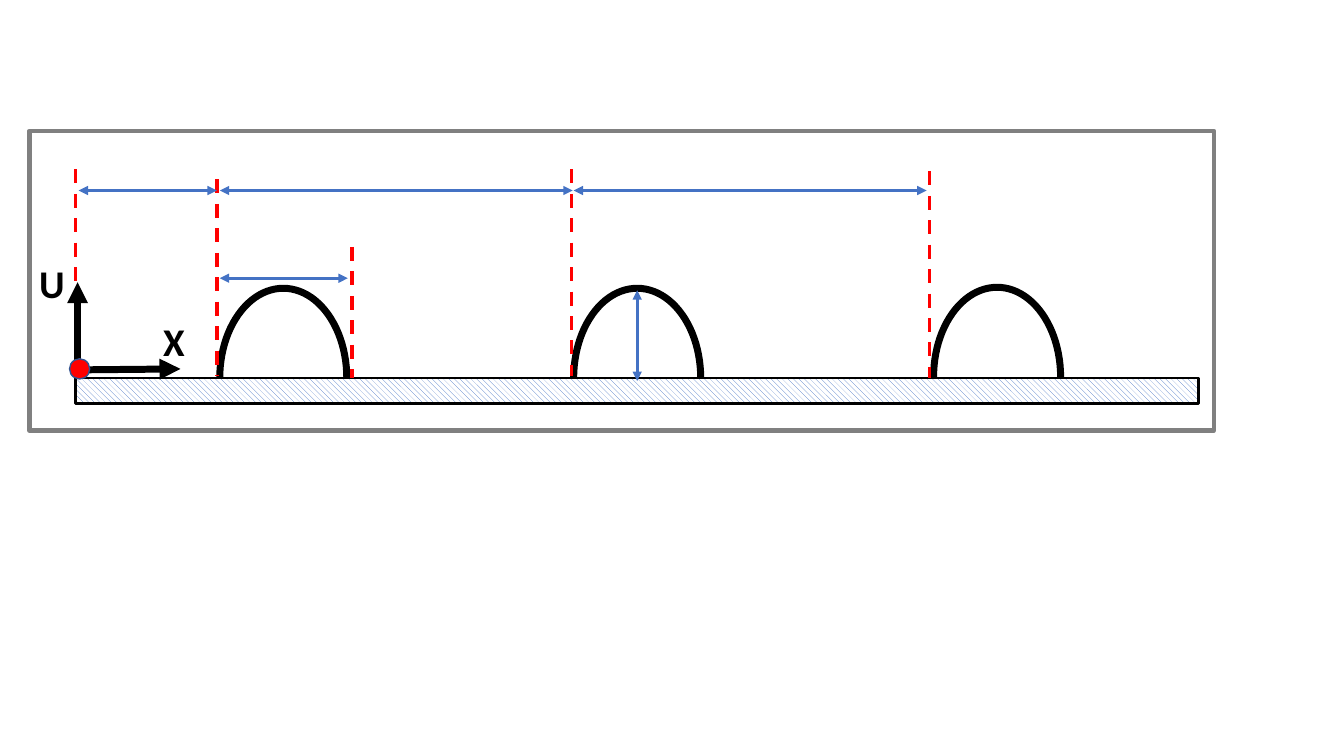
from lxml import etree
from pptx import Presentation
from pptx.dml.color import RGBColor
from pptx.enum.dml import MSO_LINE, MSO_PATTERN
from pptx.enum.shapes import MSO_CONNECTOR, MSO_SHAPE
from pptx.oxml.ns import qn
from pptx.util import Inches, Pt

RECT, OVAL = MSO_SHAPE.RECTANGLE, MSO_SHAPE.OVAL
STRAIGHT = MSO_CONNECTOR.STRAIGHT
DASH, HATCH = MSO_LINE.DASH, MSO_PATTERN.WIDE_DOWNWARD_DIAGONAL
BLACK, WHITE, RED, BLUE = "000000", "FFFFFF", "FF0000", "4472C4"
GREY, NAVY = "808080", "325491"

# Content: lengths in inches
BUMP_W, BUMP_H = 1.26, 1.78
BUMPS = [(9.26, 2.85), (5.69, 2.86), (2.18, 2.86)]  # left, top
PLATE = (0.75, 3.75, 11.14, 0.25)
BUMP_COVER = (1.97, 4.02, 8.79, 0.74)
ORIGIN = (0.69, 3.56, 0.2, 0.2)
FRAME = (0.29, 1.3, 11.75, 2.97)
GUIDES = [  # x, top, bottom
    (0.75, 1.68, 3.65), (3.49, 2.45, 3.75), (2.15, 1.78, 3.73),
    (5.67, 1.68, 3.73), (9.22, 1.7, 3.75),
]
DIMENSIONS = [  # x1, y1, x2, y2
    (0.78, 1.89, 2.15, 1.89),  # offset of the first bump
    (2.18, 1.89, 5.68, 1.89),  # first pitch
    (5.69, 1.89, 9.19, 1.89),  # second pitch
    (2.18, 2.76, 3.45, 2.76),  # bump width
    (6.32, 2.88, 6.32, 3.78),  # bump height
]
AXES = [(0.75, 3.67, 1.79, 3.66), (0.77, 3.69, 0.77, 2.8)]
AXIS_LABELS = [("X", (1.52, 3.1, 0.42, 0.57)), ("U", (0.29, 2.52, 0.46, 0.57))]

prs = Presentation()
prs.slide_width, prs.slide_height = Inches(13.33), Inches(7.5)
s = prs.slides.add_slide(prs.slide_layouts[6])


def rgb(color):
    return RGBColor.from_string(color)


def inches(values):
    return [Inches(v) for v in values]


def add_shape(kind, box, fill=None, line=None, width=1):
    sp = s.shapes.add_shape(kind, *inches(box))
    sp.shadow.inherit = False
    if fill:
        sp.fill.solid()
        sp.fill.fore_color.rgb = rgb(fill)
    else:
        sp.fill.background()
    if line:
        sp.line.color.rgb = rgb(line)
        sp.line.width = Pt(width)
    else:
        sp.line.fill.background()
    return sp


def add_line(ends, color, width, dash=None, arrows=()):
    c = s.shapes.add_connector(STRAIGHT, *inches(ends))
    c.line.color.rgb = rgb(color)
    c.line.width = Pt(width)
    if dash:
        c.line.dash_style = dash
    for end in arrows:
        etree.SubElement(c.line._get_or_add_ln(), qn(f"a:{end}"), type="triangle")
    etree.SubElement(c._element.spPr, qn("a:effectLst"))


def add_text(text, box, size=28, color=BLACK, font="Calibri", bold=True):
    tf = s.shapes.add_textbox(*inches(box)).text_frame
    tf.word_wrap = False
    r = tf.paragraphs[0].add_run()
    r.text = text
    r.font.name, r.font.size, r.font.bold = font, Pt(size), bold
    r.font.color.rgb = rgb(color)


# Bumps on the hatched plate
for left, top in BUMPS:
    add_shape(OVAL, (left, top, BUMP_W, BUMP_H), line=BLACK, width=5)
plate = add_shape(RECT, PLATE, line=BLACK, width=2)
plate.fill.patterned()
plate.fill.pattern = HATCH
plate.fill.fore_color.rgb = rgb(BLUE)
plate.fill.back_color.rgb = rgb(WHITE)

# Guides and dimension arrows
for x, top, bottom in GUIDES:
    add_line((x, top, x, bottom), RED, 2.5, dash=DASH)
for ends in DIMENSIONS:
    add_line(ends, BLUE, 2.25, arrows=("headEnd", "tailEnd"))

# White cover over the lower halves of the bumps
add_shape(RECT, BUMP_COVER, fill=WHITE)

# Axes with their labels and origin
for ends in AXES:
    add_line(ends, BLACK, 5, arrows=("tailEnd",))
for label, box in AXIS_LABELS:
    add_text(label, box)
add_shape(OVAL, ORIGIN, fill=RED, line=NAVY)

# Frame
add_shape(RECT, FRAME, line=GREY, width=3.25)

prs.save("out.pptx")
